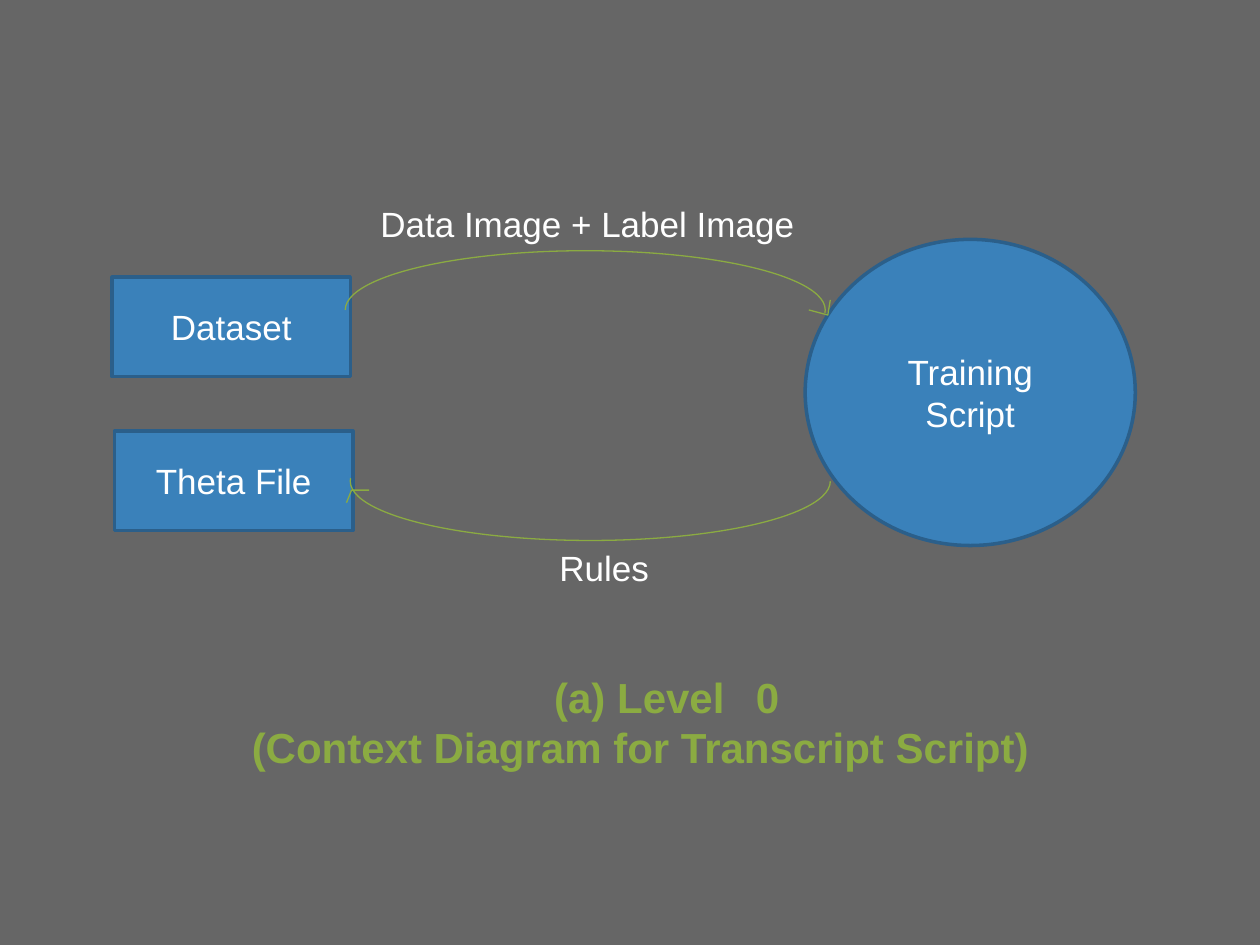
from dataclasses import dataclass
from typing import NamedTuple

from pptx import Presentation
from pptx.dml.color import RGBColor
from pptx.enum.shapes import MSO_SHAPE as Preset
from pptx.enum.text import MSO_ANCHOR as Anchor, PP_ALIGN as Align
from pptx.oxml.ns import qn
from pptx.oxml.xmlchemy import OxmlElement
from pptx.util import Inches, Length, Pt

COLUMNS, ROWS = 100, 75
CELL = Inches(0.1)


@dataclass(frozen=True)
class Theme:
    """Colours and type sizes of the diagram."""
    font: str = "Arial"
    background: str = "666666"
    node: str = "3A81BA"
    border: str = "2B5F8A"
    text: str = "FFFFFF"
    accent: str = "8BAB42"
    body_size: int = 20
    caption_size: int = 24
    border_width: float = 2
    flow_width: float = 0.75


class Area(NamedTuple):
    """Place and size in grid columns and rows."""
    column: float
    row: float
    columns: float
    rows: float


class Node(NamedTuple):
    """A filled box or circle of the diagram."""
    text: str
    preset: Preset
    area: Area


class Flow(NamedTuple):
    """A curved arrow with its label and open arrowhead."""
    label: str
    label_area: Area
    arc_area: Area
    flip: str
    head: tuple[tuple[float, float], ...]


THEME = Theme()
NODES = (
    Node("Dataset", Preset.RECTANGLE, Area(8.9, 22, 18.9, 7.9)),
    Node("Theta File", Preset.RECTANGLE, Area(9.1, 34.2, 18.9, 7.9)),
    Node("Training Script", Preset.OVAL, Area(63.9, 19, 26.2, 24.3)),
)
FLOWS = (
    Flow("Data Image + Label Image", Area(29.2, 15.6, 46.9, 4.4),
         Area(27.4, 19.9, 38.1, 9.4), "flipH",
         ((64.2, 24.6), (65.7, 25), (65.9, 23.8))),
    Flow("Rules", Area(43.4, 42.9, 11.8, 4.4),
         Area(27.8, 33.5, 38.1, 9.4), "flipV",
         ((27.5, 39.9), (27.9, 38.9), (29.3, 38.9))),
)
CAPTION_AREA = Area(19, 52.8, 74.3, 9.1)
CAPTION_INDENT, CAPTION_TAB = 24, 40.3


def grid(cells: float) -> Length:
    """Turn grid cells into a length."""
    return Length(round(cells * CELL))


def place(area: Area) -> tuple[Length, ...]:
    """Turn an area into left, top, width and height."""
    return tuple(grid(cells) for cells in area)


def colour(code: str) -> RGBColor:
    """Read a theme colour."""
    return RGBColor.from_string(code)


def add_run(paragraph, text: str, size: int, code: str, bold: bool = False) -> None:
    """Add one styled run."""
    run = paragraph.add_run()
    run.text = text
    run.font.name = THEME.font
    run.font.size = Pt(size)
    run.font.bold = bold
    run.font.color.rgb = colour(code)


def set_line(shape, code: str, width: float) -> None:
    """Outline a shape and take away its shadow."""
    shape.shadow.inherit = False
    shape.line.color.rgb = colour(code)
    shape.line.width = Pt(width)


def add_text_frame(slide, area: Area):
    """Add a wrapping text box and return its frame."""
    frame = slide.shapes.add_textbox(*place(area)).text_frame
    frame.word_wrap = True
    return frame


def draw_node(slide, node: Node) -> None:
    """Draw a node with centred text."""
    shape = slide.shapes.add_shape(node.preset, *place(node.area))
    shape.fill.solid()
    shape.fill.fore_color.rgb = colour(THEME.node)
    set_line(shape, THEME.border, THEME.border_width)
    frame = shape.text_frame
    frame.word_wrap = True
    frame.vertical_anchor = Anchor.MIDDLE
    paragraph = frame.paragraphs[0]
    paragraph.alignment = Align.CENTER
    add_run(paragraph, node.text, THEME.body_size, THEME.text)


def draw_flow(slide, flow: Flow) -> None:
    """Draw a label, its half-ellipse arc and the arrowhead."""
    frame = add_text_frame(slide, flow.label_area)
    add_run(frame.paragraphs[0], flow.label, THEME.body_size, THEME.text)
    arc = slide.shapes.add_shape(Preset.ARC, *place(flow.arc_area))
    arc.adjustments[0], arc.adjustments[1] = 107.57, 0
    arc.element.spPr.find(qn("a:xfrm")).set(flow.flip, "1")
    start, *rest = [(grid(column), grid(row)) for column, row in flow.head]
    builder = slide.shapes.build_freeform(*start)
    builder.add_line_segments(rest, close=False)
    for shape in (arc, builder.convert_to_shape()):
        shape.fill.background()
        set_line(shape, THEME.accent, THEME.flow_width)


def draw_caption(slide) -> None:
    """Draw the two-line caption with an indented first line."""
    frame = add_text_frame(slide, CAPTION_AREA)
    level = frame.paragraphs[0]
    properties = level._p.get_or_add_pPr()
    properties.set("marL", "0")
    properties.set("indent", str(grid(CAPTION_INDENT)))
    tabs, tab = OxmlElement("a:tabLst"), OxmlElement("a:tab")
    tab.set("pos", str(grid(CAPTION_TAB)))
    tab.set("algn", "l")
    tabs.append(tab)
    properties.append(tabs)
    for paragraph, text in ((level, "(a) Level\t0"),
                            (frame.add_paragraph(), "(Context Diagram for Transcript Script)")):
        add_run(paragraph, text, THEME.caption_size, THEME.accent, bold=True)


def main() -> None:
    """Build and save the presentation."""
    presentation = Presentation()
    presentation.slide_width = grid(COLUMNS)
    presentation.slide_height = grid(ROWS)
    slide = presentation.slides.add_slide(presentation.slide_layouts[6])
    slide.background.fill.solid()
    slide.background.fill.fore_color.rgb = colour(THEME.background)
    for node in NODES:
        draw_node(slide, node)
    for flow in FLOWS:
        draw_flow(slide, flow)
    draw_caption(slide)
    presentation.save("out.pptx")


if __name__ == "__main__":
    main()
